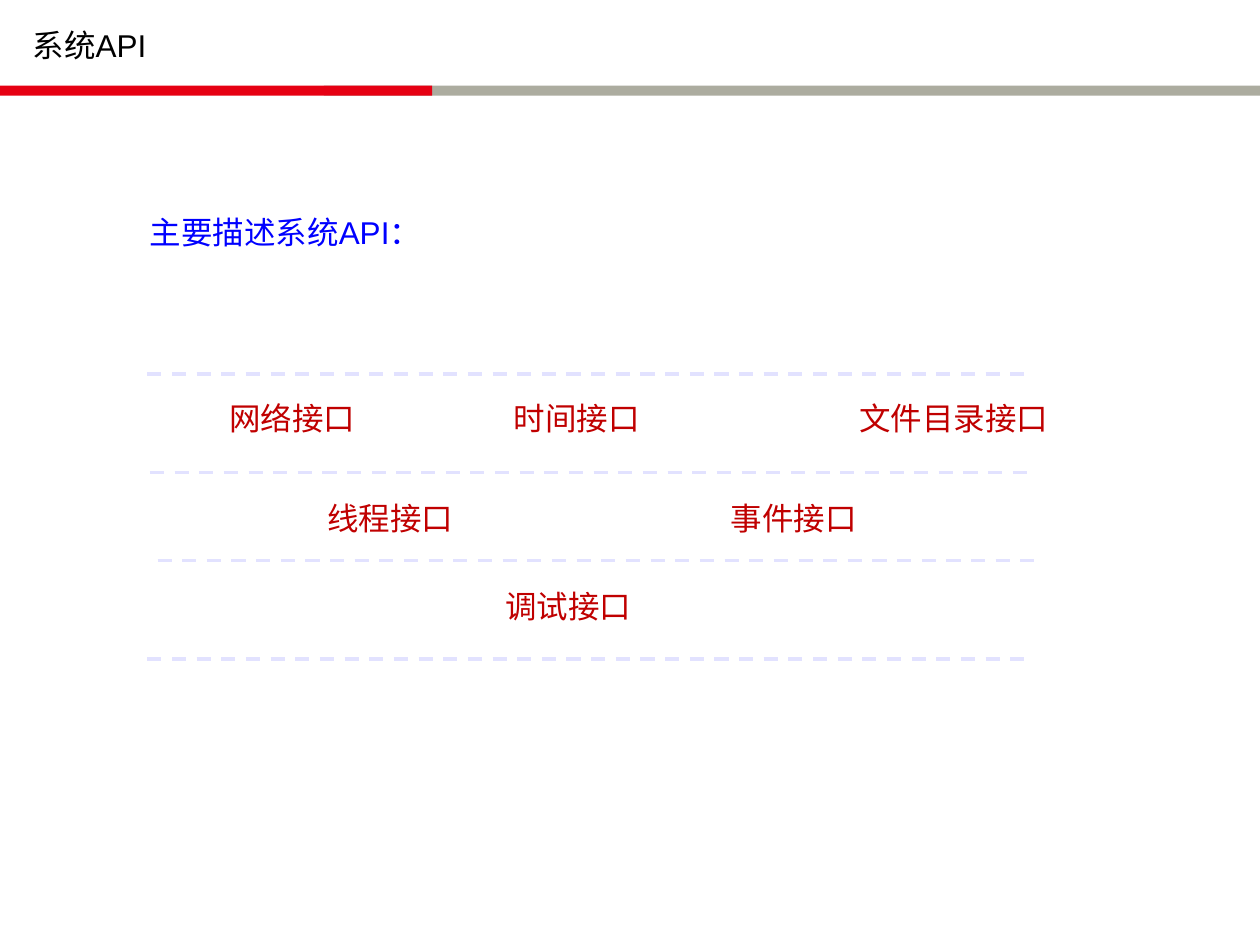
from lxml.etree import SubElement
from pptx import Presentation
from pptx.dml.color import RGBColor
from pptx.enum.dml import MSO_LINE
from pptx.enum.shapes import MSO_CONNECTOR, MSO_SHAPE
from pptx.enum.text import MSO_ANCHOR, MSO_AUTO_SIZE, PP_ALIGN
from pptx.oxml.ns import qn
from pptx.util import Inches, Pt

BLACK = RGBColor(0x00, 0x00, 0x00)
BLUE = RGBColor(0x00, 0x00, 0xFF)
DARK_RED = RGBColor(0xC0, 0x00, 0x00)
BAR_RED = RGBColor(0xE6, 0x00, 0x13)
BAR_GREY = RGBColor(0xAC, 0xAC, 0x9F)
LAVENDER = RGBColor(0xE2, 0xE2, 0xFF)


def write_text(shape, text, *, color, font="Arial", size=18, align=PP_ALIGN.LEFT):
    frame = shape.text_frame
    frame.word_wrap = True
    frame.auto_size = MSO_AUTO_SIZE.SHAPE_TO_FIT_TEXT
    frame.vertical_anchor = MSO_ANCHOR.TOP
    paragraph = frame.paragraphs[0]
    paragraph.alignment = align
    run = paragraph.add_run()
    run.text = text
    run.font.name = font
    run.font.size = Pt(size)
    run.font.color.rgb = color


class SlideBuilder:
    text_height = 0.4
    line_length = 7.01
    line_width = 2

    def __init__(self, slide):
        self.slide = slide

    def title(self, text, left, top, width):
        shape = self.slide.shapes.title
        shape.left, shape.top = Inches(left), Inches(top)
        shape.width, shape.height = Inches(width), Inches(self.text_height)
        write_text(shape, text, color=BLACK)

    def bar(self, left, width, color):
        shape = self.slide.shapes.add_shape(
            MSO_SHAPE.RECTANGLE, Inches(left), Inches(0.68), Inches(width), Inches(0.08))
        shape.shadow.inherit = False
        shape.fill.solid()
        shape.fill.fore_color.rgb = color
        shape.line.fill.background()

    def text(self, text, left, top, width, color):
        shape = self.slide.shapes.add_textbox(
            Inches(left), Inches(top), Inches(width), Inches(self.text_height))
        write_text(shape, text, color=color)

    def dashed_line(self, left, top):
        connector = self.slide.shapes.add_connector(
            MSO_CONNECTOR.STRAIGHT, Inches(left), Inches(top),
            Inches(left + self.line_length), Inches(top))
        connector.line.color.rgb = LAVENDER
        connector.line.width = Pt(self.line_width)
        connector.line.dash_style = MSO_LINE.DASH
        SubElement(connector._element.spPr, qn("a:effectLst"))


def main():
    presentation = Presentation()
    presentation.slide_width, presentation.slide_height = Inches(10), Inches(7.5)
    slide = presentation.slides.add_slide(presentation.slide_layouts[5])
    builder = SlideBuilder(slide)

    # Header
    builder.bar(2.57, 7.43, BAR_GREY)
    builder.bar(0, 3.43, BAR_RED)
    builder.title("系统API", 0.16, 0.16, 1.56)

    # Introduction
    builder.text("主要描述系统API：", 1.09, 1.64, 2.58, BLUE)

    # Dashed separators
    for left, top in [(1.17, 2.97), (1.19, 3.75), (1.25, 4.45), (1.17, 5.23)]:
        builder.dashed_line(left, top)

    # Interfaces, row by row: top, then (text, left, width)
    interface_rows = [
        (3.12, [("网络接口", 1.72, 1.25), ("时间接口", 3.98, 1.25), ("文件目录接口", 6.72, 1.95)]),
        (3.91, [("线程接口", 2.5, 1.95), ("事件接口", 5.7, 1.95)]),
        (4.61, [("调试接口", 3.91, 1.95)]),
    ]
    for top, interfaces in interface_rows:
        for text, left, width in interfaces:
            builder.text(text, left, top, width, DARK_RED)

    presentation.save("out.pptx")


if __name__ == "__main__":
    main()
